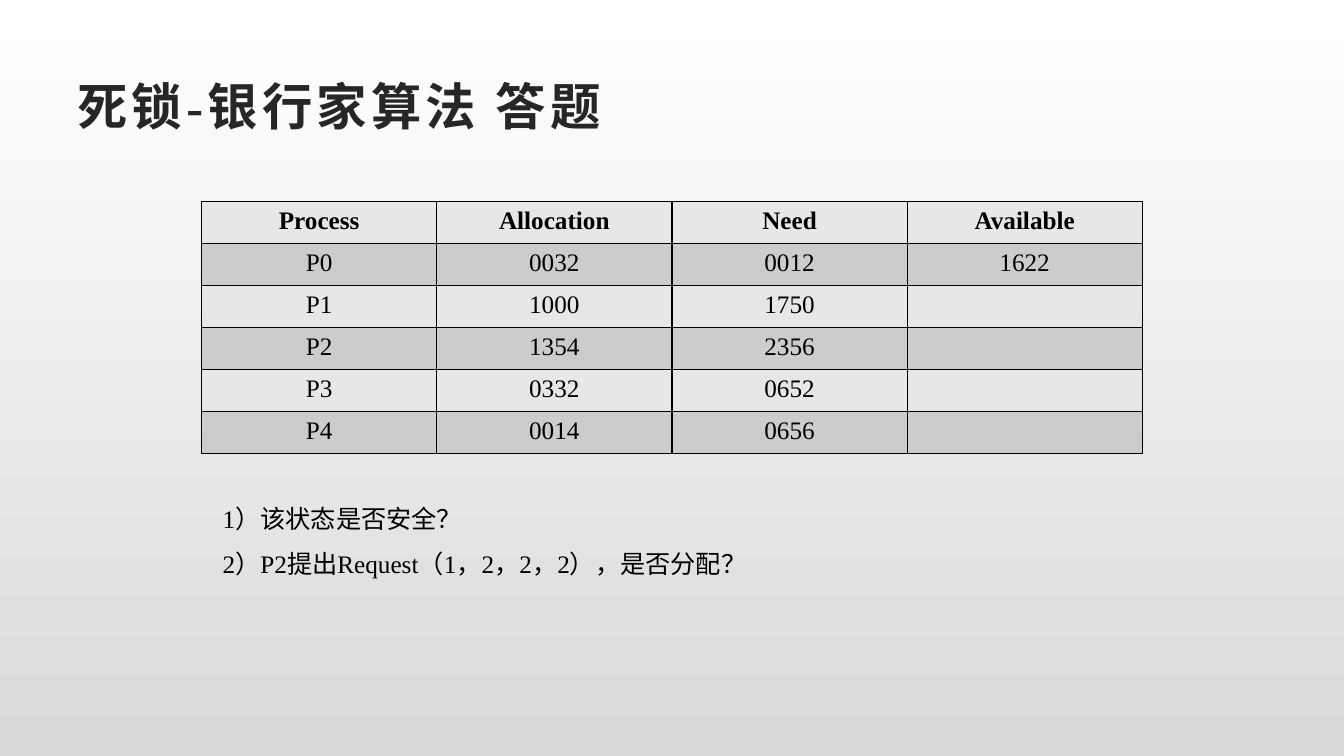
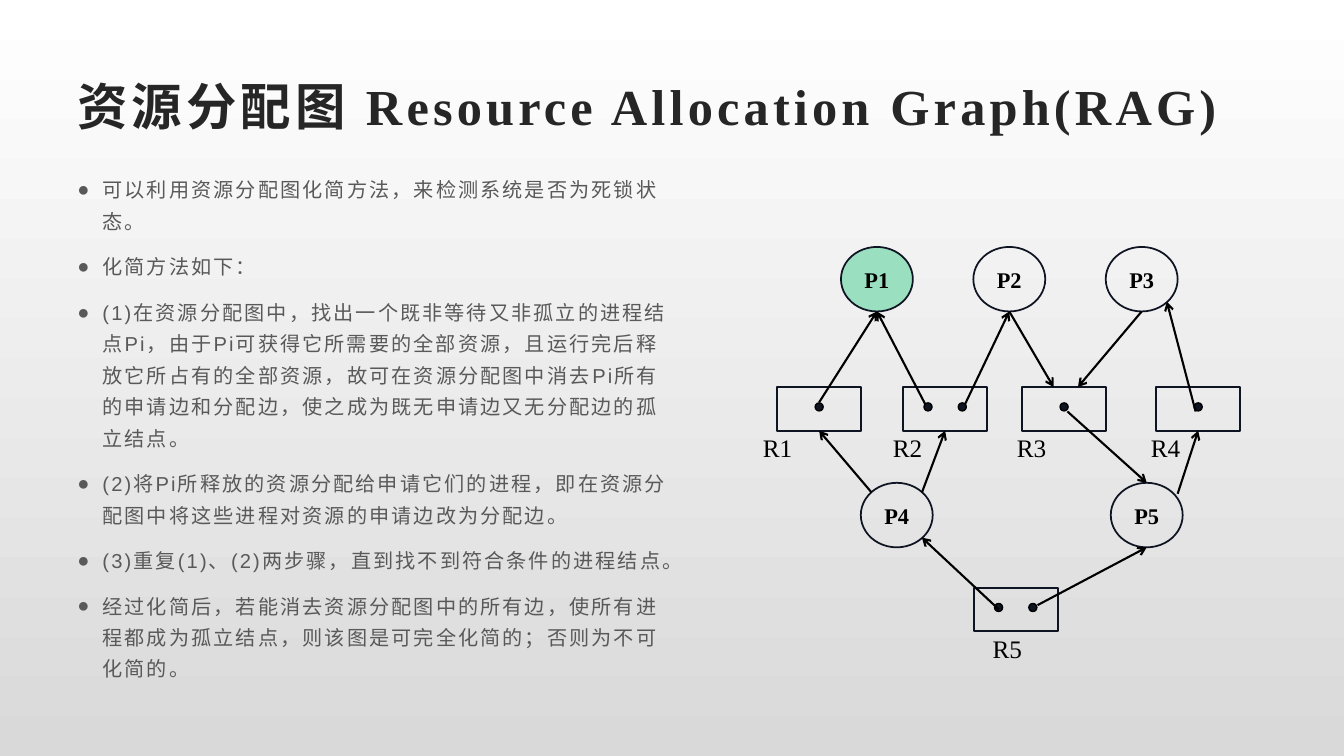
"""Builds two slides on deadlock: a banker's algorithm exercise and resource allocation graph reduction."""
from lxml.etree import SubElement
from pptx import Presentation
from pptx.dml.color import RGBColor
from pptx.enum.shapes import MSO_CONNECTOR, MSO_SHAPE
from pptx.enum.text import MSO_ANCHOR as ANCHOR, MSO_AUTO_SIZE as AUTO, PP_ALIGN as ALIGN
from pptx.oxml.ns import qn
from pptx.util import Inches, Pt

BLACK = RGBColor(0x00, 0x00, 0x00)
WHITE = RGBColor(0xFF, 0xFF, 0xFF)
SILVER = RGBColor(0xD9, 0xD9, 0xD9)
CHARCOAL = RGBColor(0x26, 0x26, 0x26)
GRAY = RGBColor(0x59, 0x59, 0x59)
NAVY = RGBColor(0x0F, 0x14, 0x23)
MINT = RGBColor(0x9A, 0xDF, 0xBF)
BANDS = RGBColor(0xE7, 0xE7, 0xE7), RGBColor(0xCC, 0xCC, 0xCC)
SERIF, SANS = "Times New Roman", "Arial"

prs = Presentation()
prs.slide_width, prs.slide_height = Inches(40 / 3), Inches(7.5)
U = prs.slide_width / 40


def grid(*values):
    return [round(v * U) for v in values]


def write(tf, *lines, size=18, font=SERIF, color=BLACK, bold=False, align=ALIGN.LEFT,
          track=0, leading=1.0, after=0, bullet=None):
    for i, line in enumerate(lines):
        p = tf.add_paragraph() if i else tf.paragraphs[0]
        if bullet:
            pPr = p._p.get_or_add_pPr()
            pPr.set("marL", str(Inches(0.25)))
            pPr.set("indent", str(-Inches(0.25)))
            SubElement(pPr, qn("a:buFont"), typeface=font)
            SubElement(pPr, qn("a:buChar"), char=bullet)
        p.alignment, p.line_spacing = align, leading
        p.space_before, p.space_after = Pt(0), Pt(after)
        r = p.add_run()
        r.text = line
        r.font.size, r.font.name, r.font.bold = Pt(size), font, bold
        r.font.color.rgb = color
        rPr = r._r.get_or_add_rPr()
        rPr.set("lang", "zh-CN")
        rPr.set("spc", str(round(track * 100)))


master = prs.slide_master
fill = master.background.fill
fill.gradient()
fill.gradient_angle = 270
for stop, color in zip(fill.gradient_stops, (WHITE, SILVER)):
    stop.color.rgb = color
title = master.placeholders[0]
title.left, title.top, title.width, title.height = grid(2, 2, 36, 2.3)
title.text_frame.vertical_anchor = ANCHOR.MIDDLE

slides = []
for layout, heading in ((5, "死锁-银行家算法 答题"), (1, "资源分配图 Resource Allocation Graph(RAG)")):
    s = prs.slides.add_slide(prs.slide_layouts[layout])
    tf = s.shapes.title.text_frame
    tf.auto_size = AUTO.NONE
    write(tf, heading, size=36, color=CHARCOAL, bold=True, track=3)
    slides.append(s)
banker, graph = slides

rows = [
    ("Process", "Allocation", "Need", "Available"),
    ("P0", "0032", "0012", "1622"),
    ("P1", "1000", "1750", ""),
    ("P2", "1354", "2356", ""),
    ("P3", "0332", "0652", ""),
    ("P4", "0014", "0656", ""),
]
table = banker.shapes.add_table(len(rows), 4, *grid(6, 6, 28, 7.5)).table
for i, row in enumerate(rows):
    for j, value in enumerate(row):
        cell = table.cell(i, j)
        tcPr = cell._tc.get_or_add_tcPr()
        for side in ("lnL", "lnR", "lnT", "lnB"):
            ln = SubElement(tcPr, qn(f"a:{side}"), w=str(Pt(1)))
            SubElement(SubElement(ln, qn("a:solidFill")), qn("a:srgbClr"), val=str(BLACK))
        cell.fill.solid()
        cell.fill.fore_color.rgb = BANDS[i % 2]
        if value:
            write(cell.text_frame, value, bold=i == 0, align=ALIGN.CENTER)

tf = banker.shapes.add_textbox(*grid(6.33, 14.37, 32.8, 3.03)).text_frame
tf.word_wrap = True
write(tf, "1）该状态是否安全？", "2）P2提出Request（1，2，2，2），是否分配？", leading=1.5)

body = graph.placeholders[1]
body.left, body.top, body.width, body.height = grid(2, 4.92, 18.33, 15.57)
body.text_frame.auto_size = AUTO.NONE
write(body.text_frame,
      "可以利用资源分配图化简方法，来检测系统是否为死锁状态。",
      "化简方法如下：",
      "(1)在资源分配图中，找出一个既非等待又非孤立的进程结点Pi，由于Pi可获得它所需要的全部资源，"
      "且运行完后释放它所占有的全部资源，故可在资源分配图中消去Pi所有的申请边和分配边，"
      "使之成为既无申请边又无分配边的孤立结点。",
      "(2)将Pi所释放的资源分配给申请它们的进程，即在资源分配图中将这些进程对资源的申请边改为分配边。",
      "(3)重复(1)、(2)两步骤，直到找不到符合条件的进程结点。",
      "经过化简后，若能消去资源分配图中的所有边，使所有进程都成为孤立结点，则该图是可完全化简的；"
      "否则为不可化简的。",
      size=14.4, font=SANS, color=GRAY, track=1.5, leading=1.3, after=10, bullet="●")

HALF = {"P": (1.07, 0.96), "R": (1.25, 0.65)}
nodes = {
    "P1": (26.1, 8.31), "P2": (30.04, 8.31), "P3": (33.98, 8.31),
    "P4": (26.69, 15.33), "P5": (34.13, 15.33),
    "R1": (24.38, 12.17), "R2": (28.13, 12.17), "R3": (31.67, 12.17),
    "R4": (35.66, 12.17), "R5": (30.23, 18.14),
}
label_shift = {"R1": 1.97, "R2": 1.85, "R3": 1.7, "R4": 1.7, "R5": 0.98}
outlines = []
for name, (x, y) in nodes.items():
    w, h = HALF[name[0]]
    kind = MSO_SHAPE.OVAL if name[0] == "P" else MSO_SHAPE.RECTANGLE
    fill = MINT if name == "P1" else None
    outlines.append((kind, x, y, w, h, fill, NAVY, 1.25, name if name[0] == "P" else ""))
    if name[0] == "R":
        for dx in (-0.51, 0.51) if name in ("R2", "R5") else (0,):
            outlines.append((MSO_SHAPE.OVAL, x + dx, y - 0.06, 0.12, 0.12, NAVY, BLACK, 1, ""))

for kind, x, y, w, h, fill, color, weight, text in outlines:
    sp = graph.shapes.add_shape(kind, *grid(x - w, y - h, 2 * w, 2 * h))
    sp.shadow.inherit = False
    sp.line.color.rgb, sp.line.width = color, Pt(weight)
    if fill is None:
        sp.fill.background()
    else:
        sp.fill.solid()
        sp.fill.fore_color.rgb = fill
    if text:
        tf = sp.text_frame
        tf.margin_left = tf.margin_right = 0
        tf.vertical_anchor = ANCHOR.MIDDLE
        write(tf, text, size=16, bold=True, align=ALIGN.CENTER)

edges = [
    ("R1", 0, -0.3, "P1", 0, 1),
    ("R2", -0.47, -0.2, "P1", 0, 1),
    ("R2", 0.47, -0.2, "P2", 0, 1),
    ("P2", 0, 1, "R3", -0.25, -1),
    ("P3", 0, 1, "R3", 0.33, -1),
    ("R4", -0.06, 0.12, "P3", 0.7, 0.7),
    ("R3", 0.08, 0.12, "P5", 0, -1),
    ("P5", 0.86, -0.66, "R4", 0, 1),
    ("P4", -0.7, -0.7, "R1", 0, 1),
    ("P4", 0.7, -0.7, "R2", 0, 1),
    ("R5", -0.4, 0, "P4", 0.7, 0.7),
    ("R5", 0.52, -0.2, "P5", 0, 1),
]
for edge in edges:
    ends = []
    for name, dx, dy in (edge[:3], edge[3:]):
        (x, y), (w, h) = nodes[name], HALF[name[0]]
        ends += [x + dx * w, y + dy * h]
    line = graph.shapes.add_connector(MSO_CONNECTOR.STRAIGHT, *grid(*ends))
    line.line.color.rgb, line.line.width = BLACK, Pt(1.5)
    SubElement(line.line._get_or_add_ln(), qn("a:tailEnd"), type="arrow")
    SubElement(line._element.spPr, qn("a:effectLst"))

for name, shift in label_shift.items():
    x, y = nodes[name]
    tf = graph.shapes.add_textbox(*grid(x - shift, y + 0.55, 1.98, 1.2)).text_frame
    tf.word_wrap = True
    write(tf, name)

prs.save("out.pptx")
